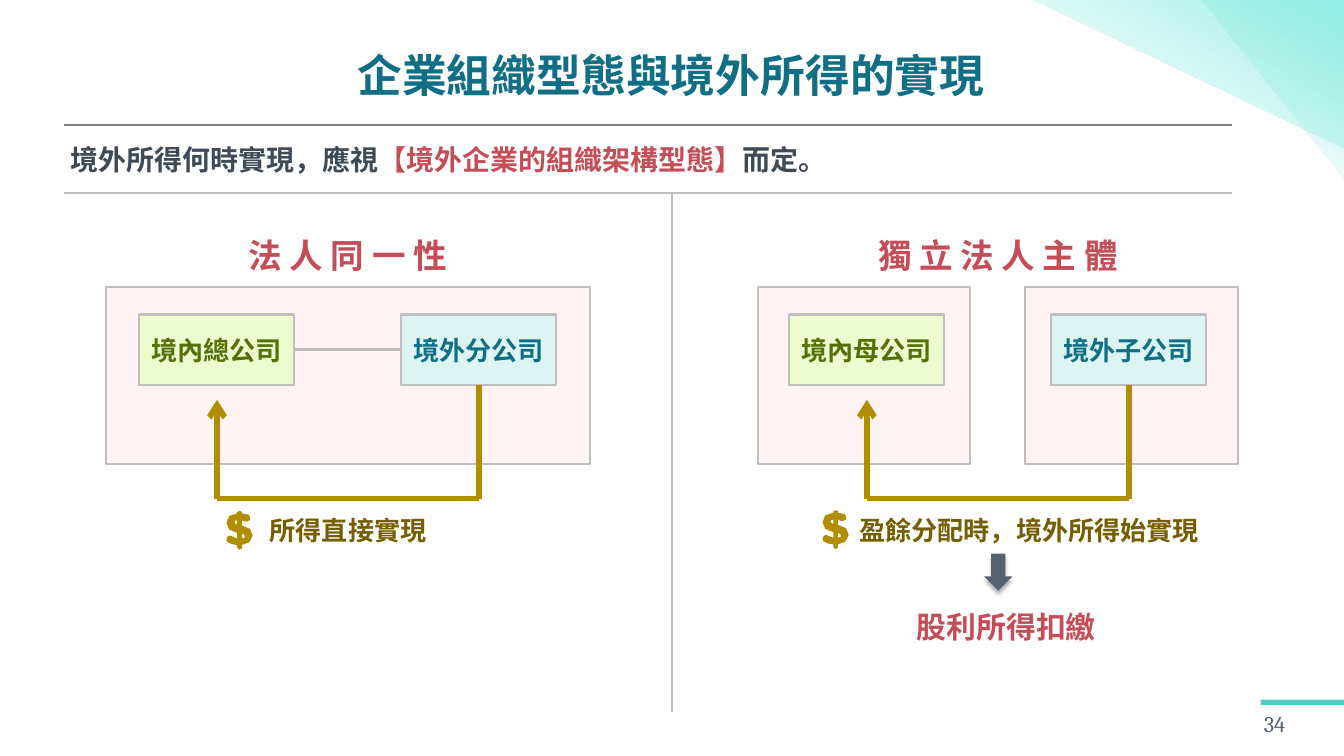
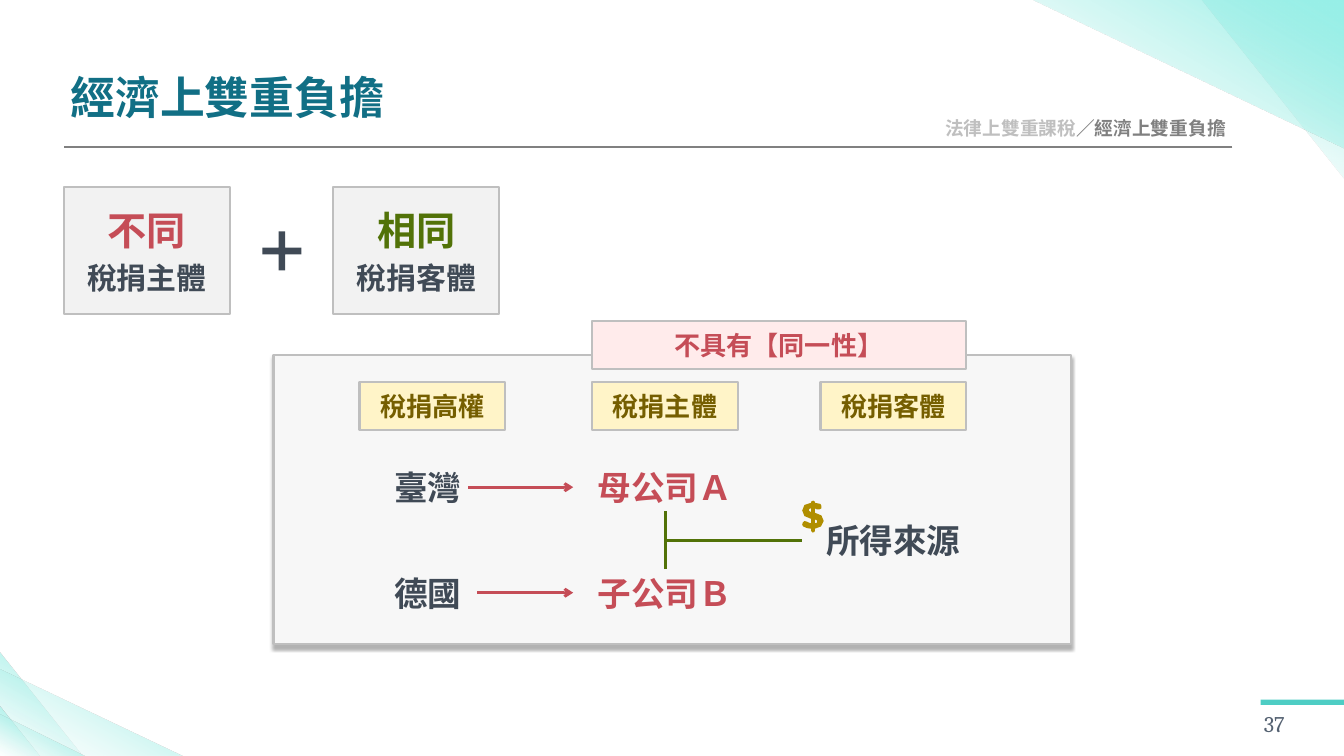
"""Build two slides on foreign income and economic double taxation."""
from lxml import etree
from pptx import Presentation
from pptx.dml.color import RGBColor
from pptx.enum.shapes import MSO_CONNECTOR, MSO_SHAPE
from pptx.enum.text import MSO_ANCHOR, PP_ALIGN
from pptx.oxml import parse_xml
from pptx.oxml.ns import nsdecls, qn
from pptx.util import Pt

EMU_PER_PX = 9144
WIDTH, HEIGHT = 2000, 1125
FONT = "Cambria"
RECTANGLE = MSO_SHAPE.RECTANGLE
TRIANGLE = MSO_SHAPE.RIGHT_TRIANGLE
DOWN_ARROW = MSO_SHAPE.DOWN_ARROW
PLUS = MSO_SHAPE.MATH_PLUS
STRAIGHT = MSO_CONNECTOR.STRAIGHT
LEFT, CENTER, RIGHT = PP_ALIGN.LEFT, PP_ALIGN.CENTER, PP_ALIGN.RIGHT
MIDDLE = MSO_ANCHOR.MIDDLE

TEAL, AQUA, PALE_AQUA = "116F85", "4ECDC4", "DCF5F3"
RED, PINK, PALE_PINK = "C54D57", "FFEBEB", "FFF3F3"
GREEN, PALE_GREEN = "527208", "EDFBCE"
GOLD, BROWN, PALE_GOLD = "B08E00", "755E00", "FFF4C8"
INK, SLATE = "404A56", "556272"
GRAY, SILVER, MIST, CLOUD = "808080", "BFBFBF", "F2F2F2", "F7F7F7"

GRADIENT_STOPS = ((0, "97F0E8", 100), (50, "A6F0E8", 44), (100, "E0F9F6", 0))
DOLLAR_OUTLINES = (
    ((20, 58), (23, 57), (24, 55), (24, 51), (35, 47), (40, 37), (36, 27),
     (24, 22), (24, 14), (28, 16), (32, 16), (36, 14), (36, 10), (34, 6),
     (29, 5), (24, 4), (24, 2), (21, 0), (17, 2), (17, 4), (5, 8), (1, 18),
     (5, 28), (17, 33), (17, 41), (13, 40), (9, 38), (5, 37), (2, 40),
     (1, 44), (3, 47), (10, 50), (17, 51), (17, 55)),
    ((24, 34), (28, 36), (28, 40), (24, 41)),
    ((13, 17), (14, 15), (17, 14), (17, 21), (14, 19)),
)


def px(*lengths):
    """Turn px lengths into EMU."""
    return [round(length * EMU_PER_PX) for length in lengths]


def color(hex_code):
    """Turn a hex string into a colour."""
    return RGBColor.from_string(hex_code)


class Deck:
    """Hold the shared style and the current slide."""

    def __init__(self):
        """Start an empty presentation."""
        self.presentation = Presentation()
        self.presentation.slide_width, self.presentation.slide_height = px(WIDTH, HEIGHT)
        self.slide = None

    def new_slide(self, number):
        """Add a slide with its corner triangles and page number."""
        self.slide = self.presentation.slides.add_slide(self.presentation.slide_layouts[6])
        self.box(1876, 1041, 124, 8, AQUA, None)
        self.text(1871, 1050, 129, 53, str(number), 24, SLATE, bold=False)
        for width, height in ((212, 267), (465, 221)):
            self.triangle(WIDTH - width, 0, width, height, 180)

    def title(self, left, top, width, wording, rule_top):
        """Add the slide title and the rule below it."""
        self.text(left, top, width, 91, wording, 48, TEAL)
        self.line(1834, rule_top, 95, rule_top, GRAY)

    def fill_text(self, frame, paragraphs, align=CENTER, bold=True):
        """Fill a frame with (runs, size, colour) paragraphs."""
        frame.word_wrap = False
        frame.vertical_anchor = MIDDLE
        for index, (runs, size, hex_code) in enumerate(paragraphs):
            paragraph = frame.add_paragraph() if index else frame.paragraphs[0]
            if index:
                paragraph.space_before = Pt(7)
            paragraph.alignment = align
            paragraph.font.name = FONT
            paragraph.font.size = Pt(size)
            paragraph.font.bold = bold
            if isinstance(runs, str):
                paragraph.text = runs
                paragraph.font.color.rgb = color(hex_code)
                continue
            for wording, run_color in runs:
                run = paragraph.add_run()
                run.text = wording
                run.font.color.rgb = color(run_color)

    def text(self, left, top, width, height, runs, size, hex_code=INK, align=LEFT, bold=True):
        """Add a one-line text box."""
        shape = self.slide.shapes.add_textbox(*px(left, top, width, height))
        self.fill_text(shape.text_frame, [(runs, size, hex_code)], align, bold)

    def box(self, left, top, width, height, fill, outline=SILVER, kind=RECTANGLE, paragraphs=()):
        """Add a filled preset shape with optional text."""
        shape = self.slide.shapes.add_shape(kind, *px(left, top, width, height))
        shape.shadow.inherit = False
        shape.fill.solid()
        shape.fill.fore_color.rgb = color(fill)
        if outline:
            shape.line.color.rgb = color(outline)
            shape.line.width = Pt(2.25)
        else:
            shape.line.fill.background()
        if paragraphs:
            self.fill_text(shape.text_frame, paragraphs)
        return shape

    def add_shadow(self, shape):
        """Drop a soft shadow below a shape."""
        effects = shape._element.spPr.find(qn("a:effectLst"))
        effects.append(parse_xml(
            f'<a:outerShdw {nsdecls("a")} blurRad="50800" dist="50800" dir="5400000" rotWithShape="0">'
            '<a:srgbClr val="000000"><a:alpha val="30000"/></a:srgbClr></a:outerShdw>'))

    def triangle(self, left, top, width, height, rotation=0):
        """Add a corner triangle that fades out."""
        shape = self.box(left, top, width, height, AQUA, None, TRIANGLE)
        shape.rotation = rotation
        stops = "".join(
            f'<a:gs pos="{place * 1000}"><a:srgbClr val="{code}"><a:alpha val="{alpha * 1000}"/>'
            "</a:srgbClr></a:gs>" for place, code, alpha in GRADIENT_STOPS)
        properties = shape._element.spPr
        properties.replace(properties.find(qn("a:solidFill")), parse_xml(
            f'<a:gradFill {nsdecls("a")} rotWithShape="0"><a:gsLst>{stops}</a:gsLst>'
            '<a:lin ang="7200000" scaled="0"/></a:gradFill>'))

    def line(self, x1, y1, x2, y2, hex_code=SILVER, weight=2.25, arrow=False):
        """Add a straight line, with an arrowhead at its end if asked."""
        connector = self.slide.shapes.add_connector(STRAIGHT, *px(x1, y1, x2, y2))
        connector.line.color.rgb = color(hex_code)
        connector.line.width = Pt(weight)
        properties = connector._element.spPr
        if arrow:
            etree.SubElement(properties.find(qn("a:ln")), qn("a:tailEnd"), type="arrow")
        etree.SubElement(properties, qn("a:effectLst"))

    def dollar(self, left, top, scale=1.0):
        """Add a dollar sign outline."""
        outer, *holes = DOLLAR_OUTLINES
        builder = self.slide.shapes.build_freeform(*outer[0], scale=EMU_PER_PX * scale)
        builder.add_line_segments(outer[1:], close=True)
        for hole in holes:
            builder.move_to(*hole[0])
            builder.add_line_segments(hole[1:], close=True)
        shape = builder.convert_to_shape(*px(left, top))
        shape.shadow.inherit = False
        shape.fill.solid()
        shape.fill.fore_color.rgb = color(GOLD)
        shape.line.fill.background()

    def company_pair(self, left, domestic, foreign):
        """Add two companies and the money flow between them."""
        self.box(left, 468, 231, 105, PALE_GREEN, paragraphs=[(domestic, 28, GREEN)])
        self.box(left + 390, 468, 231, 105, PALE_AQUA, paragraphs=[(foreign, 28, TEAL)])
        receiver, payer = left + 116, left + 506
        self.line(payer, 573, payer, 742, GOLD, 6)
        self.line(payer, 742, receiver, 742, GOLD, 6)
        self.line(receiver, 742, receiver, 595, GOLD, 6, arrow=True)


def build_realization(deck):
    """Compare a branch with a subsidiary."""
    deck.new_slide(34)
    deck.title(522, 65, 963, "企業組織型態與境外所得的實現", 186)
    deck.text(95, 207, 1156, 61, [("境外所得何時實現，應視", INK),
                                  ("【境外企業的組織架構型態】", RED), ("而定。", INK)], 30)
    deck.line(1834, 287, 95, 287)
    deck.line(1000, 1060, 1000, 287)

    deck.text(356, 344, 323, 71, "法 人 同 一 性", 36, RED, CENTER)
    deck.box(158, 427, 720, 264, PALE_PINK)
    deck.line(597, 520, 438, 520, weight=3)
    deck.company_pair(207, "境內總公司", "境外分公司")
    deck.dollar(336, 760)
    deck.text(390, 760, 256, 57, "所得直接實現", 28, BROWN, CENTER)

    deck.text(1292, 344, 386, 71, "獨 立 法 人 主 體", 36, RED, CENTER)
    for left in (1128, 1526):
        deck.box(left, 427, 316, 264, PALE_PINK)
    deck.company_pair(1174, "境內母公司", "境外子公司")
    deck.dollar(1223, 759)
    deck.text(1266, 760, 531, 57, "盈餘分配時，境外所得始實現", 28, BROWN, CENTER)
    deck.add_shadow(deck.box(1464, 824, 43, 55, SLATE, None, DOWN_ARROW))
    deck.text(1354, 901, 289, 64, "股利所得扣繳", 32, RED)


def build_double_burden(deck):
    """Explain the economic double burden."""
    deck.new_slide(37)
    for width, height in ((123, 155), (271, 129), (58, 74), (128, 61)):
        deck.triangle(0, HEIGHT - height, width, height)
    deck.title(95, 98, 491, "經濟上雙重負擔", 219)
    deck.text(1393, 168, 441, 44, [("法律上雙重課稅", SILVER), ("／經濟上雙重負擔", GRAY)],
              20, align=RIGHT)

    for left, verdict, verdict_color, subject in ((95, "不同", RED, "稅捐主體"),
                                                  (496, "相同", GREEN, "稅捐客體")):
        deck.box(left, 278, 247, 190, MIST,
                 paragraphs=[(verdict, 42, verdict_color), (subject, 32, INK)])
    deck.box(380, 334, 79, 79, INK, None, PLUS).adjustments[0] = 0.126

    deck.add_shadow(deck.box(407, 528, 1187, 431, CLOUD))
    deck.box(881, 478, 556, 71, PINK, paragraphs=[("不具有【同一性】", 28, RED)])
    for left, heading in ((535, "稅捐高權"), (881, "稅捐主體"), (1221, "稅捐客體")):
        deck.box(left, 569, 217, 71, PALE_GOLD, paragraphs=[(heading, 28, BROWN)])

    for top, country, company, arrow_left in ((690, "臺灣", "母公司Ａ", 697),
                                              (847, "德國", "子公司Ｂ", 710)):
        deck.text(576, top, 121, 71, country, 36, INK, CENTER)
        deck.text(853, top, 273, 71, company, 36, RED, CENTER)
        deck.line(arrow_left, top + 35, 853, top + 35, RED, 3, arrow=True)
    deck.line(990, 847, 990, 761, GREEN, 3)
    deck.line(990, 804, 1193, 804, GREEN, 3)
    deck.text(1193, 768, 273, 71, "所得來源", 36, INK, CENTER)
    deck.dollar(1193, 745, 0.82)


def main():
    """Build and save the presentation."""
    deck = Deck()
    build_realization(deck)
    build_double_burden(deck)
    deck.presentation.save("out.pptx")


if __name__ == "__main__":
    main()
